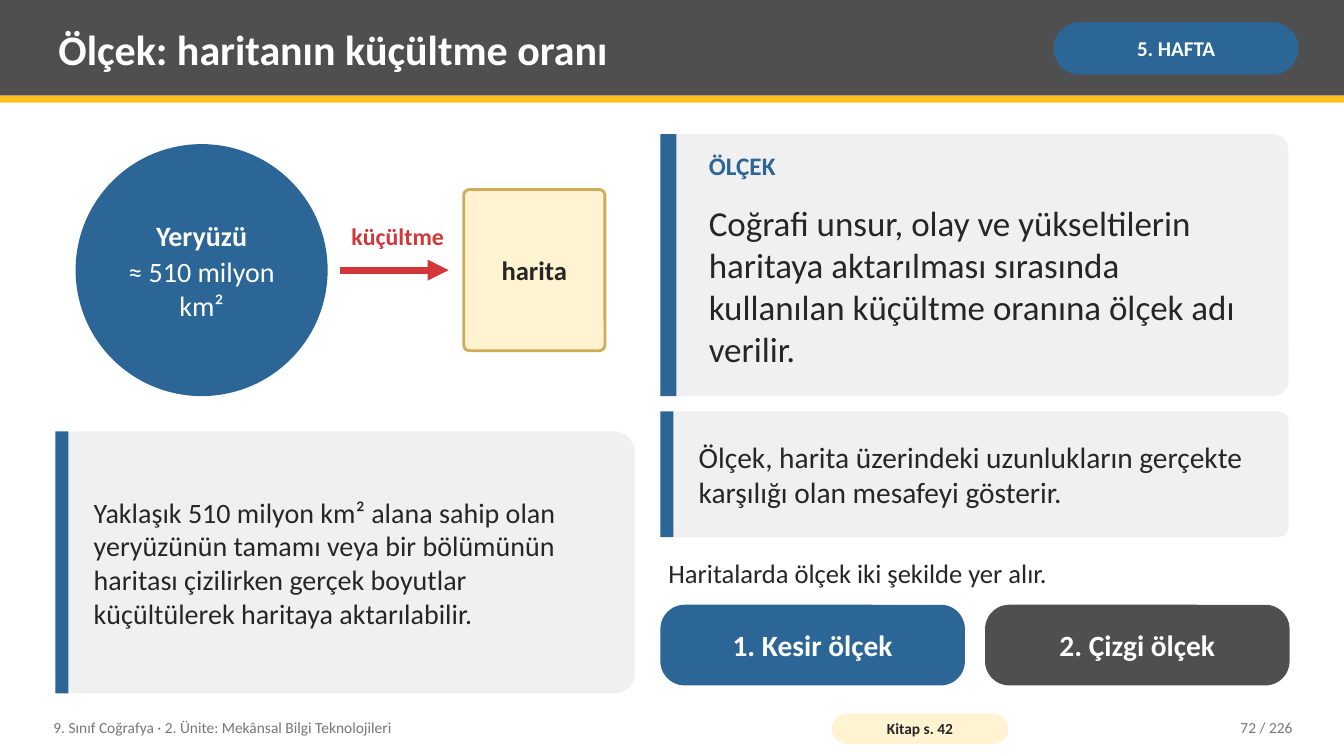
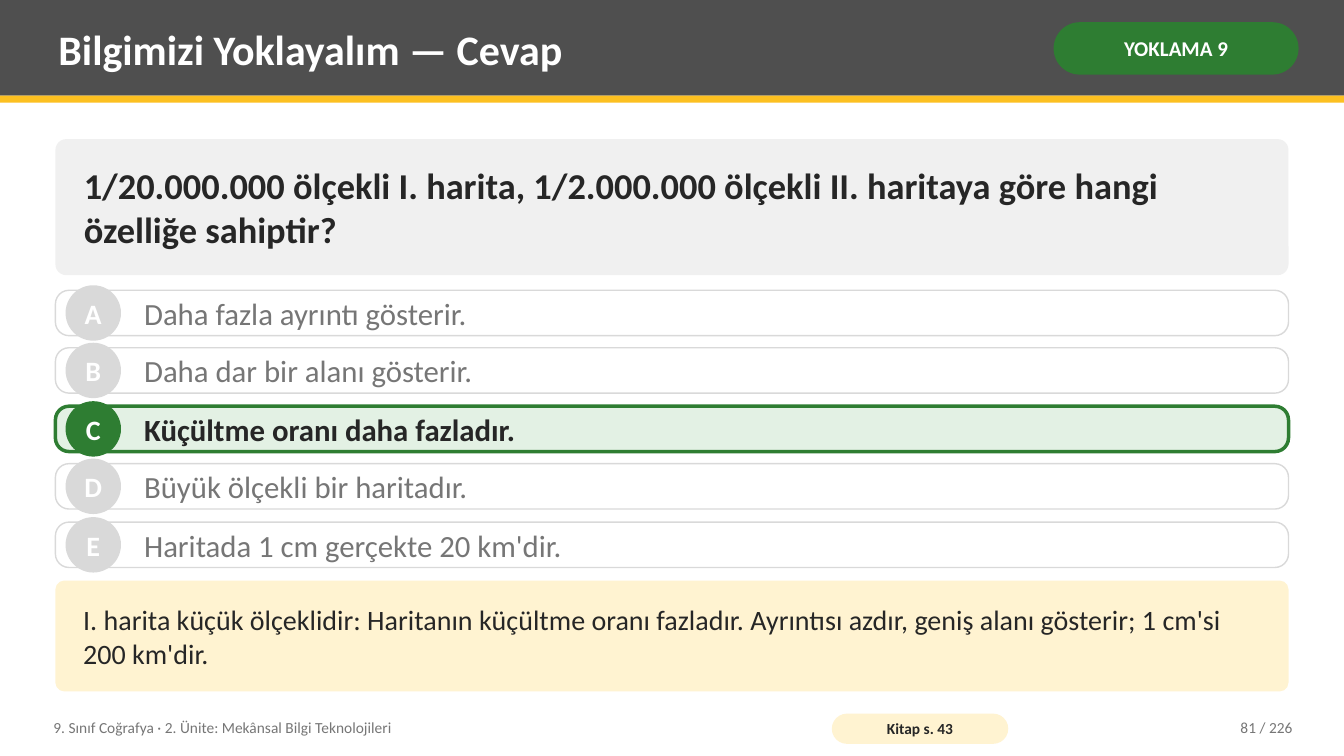
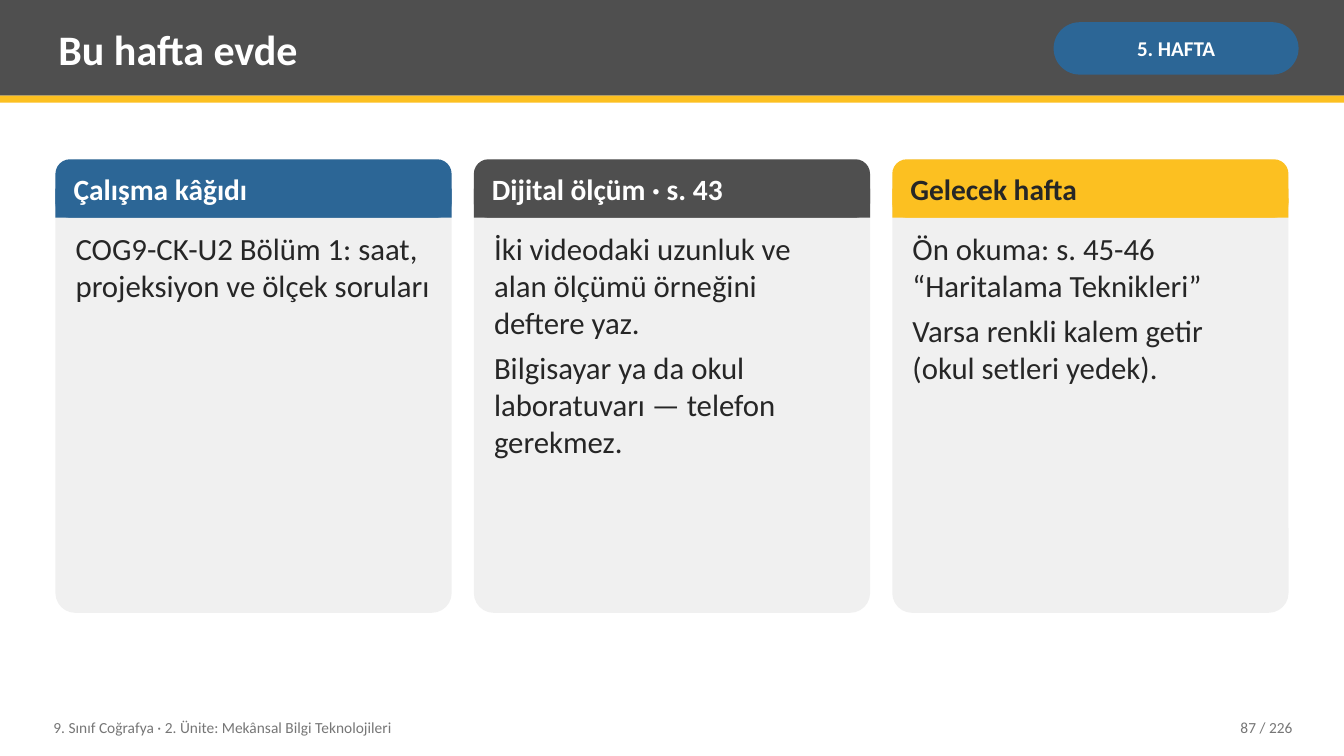
from dataclasses import dataclass

from lxml.etree import SubElement
from pptx import Presentation
from pptx.dml.color import RGBColor
from pptx.enum.shapes import MSO_CONNECTOR, MSO_SHAPE
from pptx.enum.text import MSO_ANCHOR, PP_ALIGN
from pptx.oxml.ns import qn
from pptx.util import Pt

EMU_PER_PX = 9144
SLIDE_WIDTH, SLIDE_HEIGHT = 1333, 750
LEFT, CONTENT_WIDTH = 55, 1223


def px(length):
    """Turn whole pixels (100 to the inch) into EMU."""
    return length * EMU_PER_PX


@dataclass(frozen=True)
class Theme:
    """Colours and type sizes of the course."""

    font: str = "Calibri"
    slate: RGBColor = RGBColor(0x4F, 0x4F, 0x4F)
    amber: RGBColor = RGBColor(0xFC, 0xC0, 0x21)
    blue: RGBColor = RGBColor(0x2C, 0x66, 0x96)
    green: RGBColor = RGBColor(0x2E, 0x7D, 0x32)
    mint: RGBColor = RGBColor(0xE3, 0xF1, 0xE4)
    red: RGBColor = RGBColor(0xD3, 0x37, 0x3A)
    cream: RGBColor = RGBColor(0xFF, 0xF3, 0xD1)
    gold: RGBColor = RGBColor(0xCE, 0xAC, 0x58)
    panel: RGBColor = RGBColor(0xF0, 0xF0, 0xF0)
    rule: RGBColor = RGBColor(0xD9, 0xD9, 0xD9)
    muted: RGBColor = RGBColor(0x76, 0x76, 0x76)
    ink: RGBColor = RGBColor(0x26, 0x26, 0x26)
    white: RGBColor = RGBColor(0xFF, 0xFF, 0xFF)
    title: int = 30
    question: int = 26
    definition: int = 25
    option: int = 22
    heading: int = 21
    body: int = 20
    label: int = 19
    kicker: int = 18
    caption: int = 17
    tag: int = 15
    footer: int = 11


class Deck:
    """Draws the lesson's elements on the current slide."""

    def __init__(self, theme):
        self.theme = theme
        self.presentation = Presentation()
        self.presentation.slide_width = px(SLIDE_WIDTH)
        self.presentation.slide_height = px(SLIDE_HEIGHT)
        self.slide = None

    def new_slide(self, title, tag, tag_color, page, book_page=None):
        """Start a slide with its title band, tag and footer."""
        theme = self.theme
        self.slide = self.presentation.slides.add_slide(self.presentation.slide_layouts[6])
        self.shape((0, 0, SLIDE_WIDTH, 95), theme.slate)
        self.shape((0, 95, SLIDE_WIDTH, 7), theme.amber)
        self.text((50, 7, 975, 82), [title], theme.title, theme.white, bold=True)
        self.pill((1045, 22, 243, 52), tag, tag_color, theme.tag, inset=(5, 2))
        self.text((45, 704, 760, 36), ["9. Sınıf Coğrafya · 2. Ünite: Mekânsal Bilgi Teknolojileri"],
                  theme.footer, theme.muted)
        if book_page:
            self.pill((825, 708, 175, 30), f"Kitap s. {book_page}", theme.cream, theme.footer,
                      color=theme.ink, inset=(4, 0))
        self.text((1130, 704, 160, 36), [f"{page} / 226"], theme.footer, theme.muted,
                  align=PP_ALIGN.RIGHT)

    def shape(self, box, fill, kind=MSO_SHAPE.RECTANGLE, corner=None, outline=None, weight=1):
        """Add a filled preset shape."""
        shape = self.slide.shapes.add_shape(kind, *map(px, box))
        shape.shadow.inherit = False
        shape.fill.solid()
        shape.fill.fore_color.rgb = fill
        if corner is not None:
            shape.adjustments[0] = corner
        if outline is None:
            shape.line.fill.background()
        else:
            shape.line.color.rgb = outline
            shape.line.width = Pt(weight)
        return shape

    def rounded(self, box, fill, corner, **outline):
        """Add a rounded rectangle."""
        return self.shape(box, fill, MSO_SHAPE.ROUNDED_RECTANGLE, corner, **outline)

    def set_text(self, holder, paragraphs, size, color, bold=False, align=PP_ALIGN.LEFT,
                 anchor=MSO_ANCHOR.MIDDLE, inset=(8, 4), after=0, wrap=True):
        """Fill a shape or text box with paragraphs of one style."""
        across, down = map(px, inset)
        frame = holder.text_frame
        frame_format = {"word_wrap": wrap, "vertical_anchor": anchor,
                        "margin_left": across, "margin_right": across,
                        "margin_top": down, "margin_bottom": down}
        for name, value in frame_format.items():
            setattr(frame, name, value)
        for index, words in enumerate(paragraphs):
            paragraph = frame.add_paragraph() if index else frame.paragraphs[0]
            paragraph.alignment = align
            if index < len(paragraphs) - 1:
                paragraph.space_after = Pt(after)
            run = paragraph.add_run()
            run.text = words
            for name, value in {"name": self.theme.font, "size": Pt(size), "bold": bold}.items():
                setattr(run.font, name, value)
            run.font.color.rgb = color
        return frame

    def text(self, box, paragraphs, size, color, **layout):
        """Add a text box."""
        holder = self.slide.shapes.add_textbox(*map(px, box))
        return self.set_text(holder, paragraphs, size, color, **layout)

    def pill(self, box, label, fill, size, color=None, corner=0.5, inset=(14, 8), **outline):
        """Add a rounded shape with a bold centred label."""
        holder = self.rounded(box, fill, corner, **outline)
        self.set_text(holder, [label], size, color or self.theme.white, bold=True,
                      align=PP_ALIGN.CENTER, inset=inset)

    def banner(self, top, height, words, fill, size, bold=False):
        """Add a full-width panel with text."""
        holder = self.rounded((LEFT, top, CONTENT_WIDTH, height), fill, 0.08)
        self.set_text(holder, [words], size, self.theme.ink, bold=bold, inset=(25, 8))

    def accent_panel(self, box, bar=13, corner=0.08):
        """Add a grey panel with a blue bar at its left."""
        left, top, _, height = box
        self.rounded(box, self.theme.panel, corner)
        self.shape((left, top, bar, height), self.theme.blue)

    def note(self, box, words, size):
        """Add an accented panel with one paragraph."""
        left, top, width, height = box
        self.accent_panel(box)
        self.text((left + 30, top, width - 45, height), [words], size, self.theme.ink)

    def arrow(self, start, end, color, weight):
        """Add a straight arrow."""
        connector = self.slide.shapes.add_connector(MSO_CONNECTOR.STRAIGHT, *map(px, start + end))
        connector.line.color.rgb = color
        connector.line.width = Pt(weight)
        properties = connector._element.spPr
        SubElement(properties.find(qn("a:ln")), qn("a:tailEnd"), type="triangle")
        SubElement(properties, qn("a:effectLst"))

    def option(self, top, letter, answer, correct):
        """Add one answer row with its letter badge."""
        theme = self.theme
        accent = theme.green if correct else theme.rule
        self.rounded((LEFT, top, CONTENT_WIDTH, 45), theme.mint if correct else theme.white,
                     0.3, outline=accent, weight=2.5 if correct else 1)
        badge = self.shape((LEFT + 10, top - 5, 55, 55), accent, MSO_SHAPE.OVAL)
        self.set_text(badge, [letter], theme.body, theme.white, bold=True,
                      align=PP_ALIGN.CENTER, inset=(0, 0), wrap=False)
        self.text((LEFT + 80, top, CONTENT_WIDTH - 100, 45), [answer], theme.option,
                  theme.ink if correct else theme.muted, bold=correct)

    def card(self, left, heading, tasks, fill, heading_color):
        """Add a task card with a coloured heading."""
        theme, top, width, head = self.theme, 158, 393, 58
        self.rounded((left, top, width, 450), theme.panel, 0.05)
        self.rounded((left, top, width, head), fill, 0.25)
        self.shape((left, top + head // 2, width, head // 2), fill)
        self.text((left + 10, top, width - 20, head), [heading], theme.heading,
                  heading_color, bold=True)
        self.text((left + 12, top + head + 8, width - 24, 376), tasks, theme.option,
                  theme.ink, anchor=MSO_ANCHOR.TOP, after=6)


def scale_slide(deck):
    """Explain what map scale is."""
    theme = deck.theme
    deck.new_slide("Ölçek: haritanın küçültme oranı", "5. HAFTA", theme.blue, 72, 42)
    earth = deck.shape((75, 143, 250, 250), theme.blue, MSO_SHAPE.OVAL)
    earth_text = deck.set_text(earth, ["Yeryüzü", "≈ 510 milyon km²"], theme.body, theme.white,
                               bold=True, align=PP_ALIGN.CENTER, inset=(5, 8), after=2)
    earth_text.paragraphs[1].runs[0].font.bold = False
    deck.arrow((337, 268), (445, 268), theme.red, 5)
    deck.text((327, 213, 135, 42), ["küçültme"], theme.caption, theme.red, bold=True,
              align=PP_ALIGN.CENTER)
    deck.pill((460, 188, 140, 160), "harita", theme.cream, theme.label, color=theme.ink,
              corner=0.04, outline=theme.gold, weight=2)
    deck.note((LEFT, 428, 575, 260),
              "Yaklaşık 510 milyon km² alana sahip olan yeryüzünün tamamı veya bir bölümünün "
              "haritası çizilirken gerçek boyutlar küçültülerek haritaya aktarılabilir.",
              theme.body)

    column, width = 655, 623
    deck.accent_panel((column, 133, width, 260), bar=16, corner=0.06)
    deck.text((column + 40, 145, width - 60, 45), ["ÖLÇEK"], theme.kicker, theme.blue,
              bold=True, anchor=MSO_ANCHOR.TOP)
    deck.text((column + 40, 188, width - 60, 190),
              ["Coğrafi unsur, olay ve yükseltilerin haritaya aktarılması sırasında "
               "kullanılan küçültme oranına ölçek adı verilir."],
              theme.definition, theme.ink)
    deck.note((column, 408, width, 125),
              "Ölçek, harita üzerindeki uzunlukların gerçekte karşılığı olan mesafeyi gösterir.",
              theme.heading)
    deck.text((column, 543, width, 50), ["Haritalarda ölçek iki şekilde yer alır."],
              theme.label, theme.ink)
    scale_kinds = [("1. Kesir ölçek", theme.blue), ("2. Çizgi ölçek", theme.slate)]
    for index, (scale_kind, fill) in enumerate(scale_kinds):
        deck.pill((column + index * 322, 600, 302, 80), scale_kind, fill, theme.heading,
                  corner=0.3)


def answer_slide(deck):
    """Show the quiz question with its answer."""
    theme = deck.theme
    deck.new_slide("Bilgimizi Yoklayalım — Cevap", "YOKLAMA 9", theme.green, 81, 43)
    deck.banner(138, 135,
                "1/20.000.000 ölçekli I. harita, 1/2.000.000 ölçekli II. haritaya göre hangi "
                "özelliğe sahiptir?", theme.panel, theme.question, bold=True)
    answers = ["Daha fazla ayrıntı gösterir.", "Daha dar bir alanı gösterir.",
               "Küçültme oranı daha fazladır.", "Büyük ölçekli bir haritadır.",
               "Haritada 1 cm gerçekte 20 km'dir."]
    for index, (letter, answer) in enumerate(zip("ABCDE", answers)):
        deck.option(288 + index * 115 // 2, letter, answer, letter == "C")
    deck.banner(576, 110,
                "I. harita küçük ölçeklidir: Haritanın küçültme oranı fazladır. Ayrıntısı azdır, "
                "geniş alanı gösterir; 1 cm'si 200 km'dir.", theme.cream, theme.body)


def homework_slide(deck):
    """List the week's tasks at home."""
    theme = deck.theme
    deck.new_slide("Bu hafta evde", "5. HAFTA", theme.blue, 87)
    cards = [
        ("Çalışma kâğıdı", ["COG9-CK-U2 Bölüm 1: saat, projeksiyon ve ölçek soruları"],
         theme.blue, theme.white),
        ("Dijital ölçüm · s. 43",
         ["İki videodaki uzunluk ve alan ölçümü örneğini deftere yaz.",
          "Bilgisayar ya da okul laboratuvarı — telefon gerekmez."],
         theme.slate, theme.white),
        ("Gelecek hafta",
         ["Ön okuma: s. 45-46 “Haritalama Teknikleri”",
          "Varsa renkli kalem getir (okul setleri yedek)."],
         theme.amber, theme.ink),
    ]
    for index, card in enumerate(cards):
        deck.card(LEFT + index * 415, *card)


def main():
    """Build the slides and save them."""
    deck = Deck(Theme())
    for build in (scale_slide, answer_slide, homework_slide):
        build(deck)
    deck.presentation.save("out.pptx")


if __name__ == "__main__":
    main()
